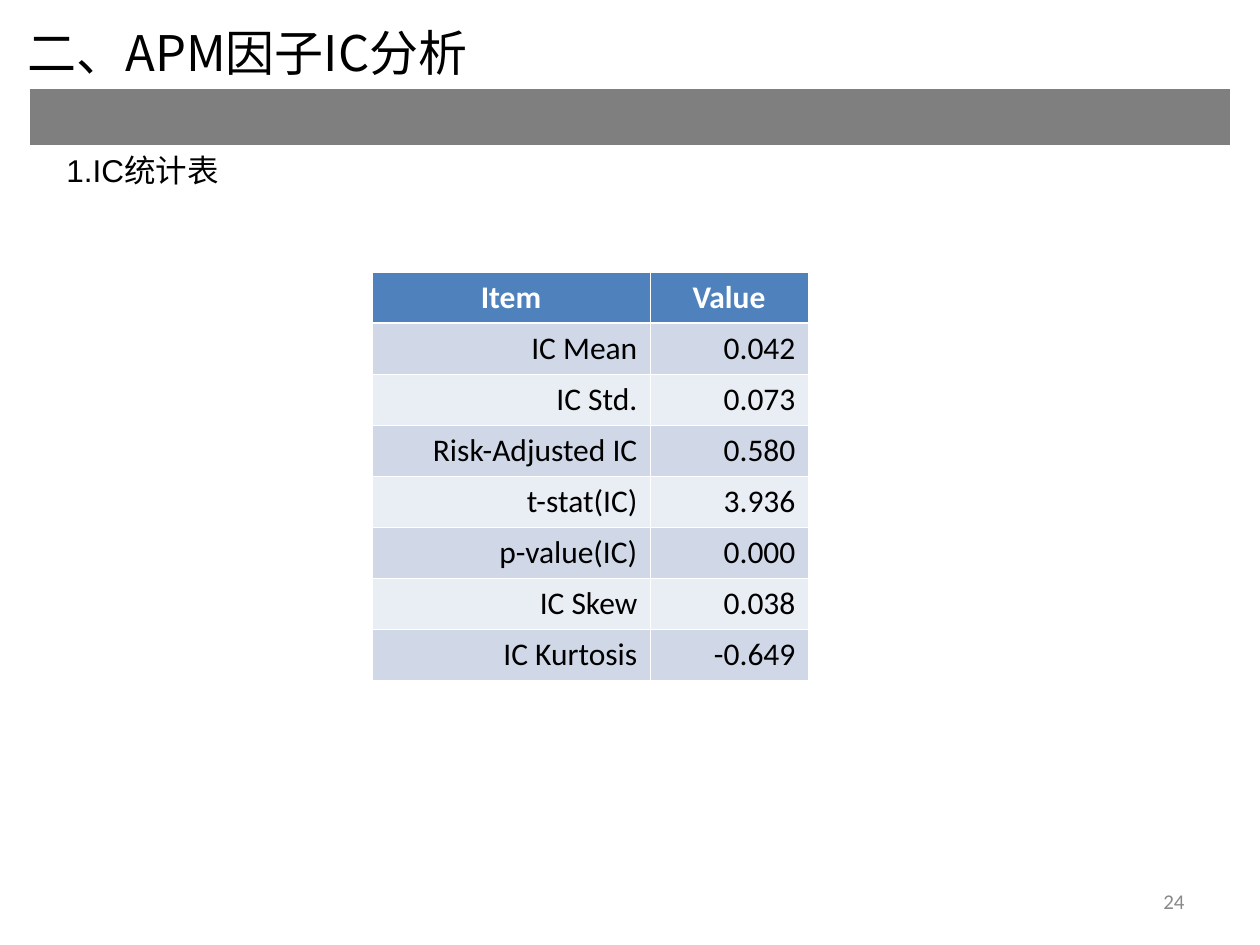
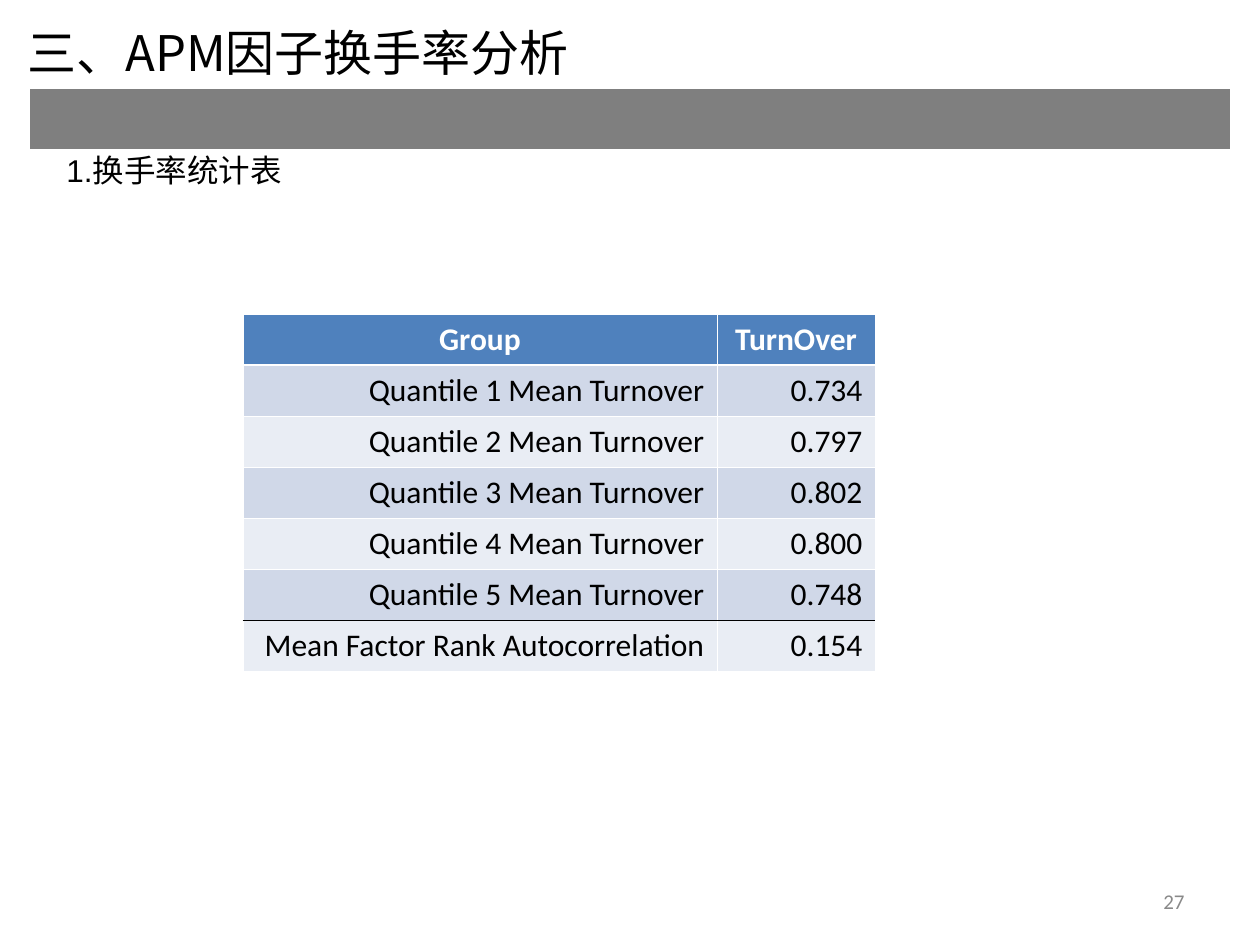
from dataclasses import dataclass
from typing import Optional

from lxml.etree import SubElement
from pptx import Presentation
from pptx.dml.color import RGBColor
from pptx.enum.text import MSO_ANCHOR, MSO_AUTO_SIZE, PP_ALIGN
from pptx.oxml.ns import qn
from pptx.util import Emu, Pt

PX_PER_INCH = 126
EMU_PER_PX = 914400 / PX_PER_INCH


@dataclass(frozen=True)
class Theme:
    black: str = "000000"
    white: str = "FFFFFF"
    band: str = "7F7F7F"
    header: str = "4F81BD"
    stripes: tuple[str, str] = ("D0D8E8", "E9EDF4")
    number: str = "898989"
    title_font: str = "Noto Sans CJK SC"
    heading_font: str = "Arial"
    body_font: str = "Calibri"
    title_size: int = 28
    body_size: int = 18
    number_size: int = 12
    thin: float = 0.45
    thick: float = 1.47


THEME = Theme()


@dataclass(frozen=True)
class Area:
    left: int
    top: int
    width: int
    height: int


@dataclass(frozen=True)
class TextStyle:
    font: str
    size: int
    color: str
    align: PP_ALIGN
    bold: bool = False


@dataclass(frozen=True)
class StatTable:
    left: int
    top: int
    widths: tuple[int, int]
    rows: list[tuple[str, str]]
    rule_above: Optional[int] = None  # row with a black line above it


@dataclass(frozen=True)
class Page:
    title: str
    heading: str
    heading_width: int
    band_height: int
    number: str
    table: StatTable


TITLE = TextStyle(THEME.title_font, THEME.title_size, THEME.black, PP_ALIGN.JUSTIFY)
HEADING = TextStyle(THEME.heading_font, THEME.body_size, THEME.black, PP_ALIGN.LEFT)
NUMBER = TextStyle(THEME.body_font, THEME.number_size, THEME.number, PP_ALIGN.RIGHT)
HEAD_CELL = TextStyle(THEME.body_font, THEME.body_size, THEME.white, PP_ALIGN.CENTER, True)
BODY_CELL = TextStyle(THEME.body_font, THEME.body_size, THEME.black, PP_ALIGN.RIGHT)

TITLE_AREA = Area(15, 16, 694, 72)
NUMBER_AREA = Area(903, 876, 294, 50)
BAND_LEFT, BAND_TOP, BAND_WIDTH = 29, 88, 1201
HEADING_LEFT, HEADING_TOP, HEADING_HEIGHT = 54, 145, 50
ROW_HEIGHT = 51

PAGES = [
    Page("二、APM因子IC分析", "1.IC统计表", 198, 58, "24", StatTable(372, 272, (278, 158), [
        ("Item", "Value"),
        ("IC Mean", "0.042"),
        ("IC Std.", "0.073"),
        ("Risk-Adjusted IC", "0.580"),
        ("t-stat(IC)", "3.936"),
        ("p-value(IC)", "0.000"),
        ("IC Skew", "0.038"),
        ("IC Kurtosis", "-0.649"),
    ])),
    Page("三、APM因子换手率分析", "1.换手率统计表", 307, 62, "27", StatTable(243, 314, (474, 158), [
        ("Group", "TurnOver"),
        ("Quantile 1 Mean Turnover", "0.734"),
        ("Quantile 2 Mean Turnover", "0.797"),
        ("Quantile 3 Mean Turnover", "0.802"),
        ("Quantile 4 Mean Turnover", "0.800"),
        ("Quantile 5 Mean Turnover", "0.748"),
        ("Mean Factor Rank Autocorrelation", "0.154"),
    ], rule_above=6)),
]


def px(length: int) -> Emu:
    return Emu(round(length * EMU_PER_PX))


def write(frame, text: str, style: TextStyle) -> None:
    """Put one styled paragraph into a text frame."""
    frame.text = text
    para = frame.paragraphs[0]
    para.alignment = style.align
    for span in para.runs:
        span.font.name = style.font
        span.font.size = Pt(style.size)
        span.font.bold = style.bold
        span.font.color.rgb = RGBColor.from_string(style.color)
        east_asian = SubElement(span.font._element, qn("a:ea"))
        east_asian.set("typeface", THEME.title_font)


def add_text(slide, area: Area, text: str, style: TextStyle, anchor=MSO_ANCHOR.TOP) -> None:
    box = slide.shapes.add_textbox(px(area.left), px(area.top), px(area.width), px(area.height))
    box.text_frame.word_wrap = True
    box.text_frame.vertical_anchor = anchor
    write(box.text_frame, text, style)


def add_title(slide, text: str) -> None:
    title = slide.shapes.title
    title.left, title.top = px(TITLE_AREA.left), px(TITLE_AREA.top)
    title.width, title.height = px(TITLE_AREA.width), px(TITLE_AREA.height)
    title.text_frame.auto_size = MSO_AUTO_SIZE.NONE
    title.text_frame.vertical_anchor = MSO_ANCHOR.TOP
    write(title.text_frame, text, TITLE)


def add_grid(slide, left: int, top: int, widths: tuple[int, ...], row_height: int, row_count: int):
    """Add a table without built-in banding."""
    frame = slide.shapes.add_table(row_count, len(widths), px(left), px(top),
                                   px(sum(widths)), px(row_height * row_count))
    table = frame.table
    table.first_row = table.horz_banding = False
    for column, width in zip(table.columns, widths):
        column.width = px(width)
    for row in table.rows:
        row.height = px(row_height)
    return table


def paint_cell(cell, fill: str, top=(THEME.white, THEME.thin), bottom=(THEME.white, THEME.thin)) -> None:
    """Set the four borders, then the fill, of a cell."""
    side = (THEME.white, THEME.thin)
    properties = cell._tc.get_or_add_tcPr()
    for tag, (color, width) in zip(("lnL", "lnR", "lnT", "lnB"), (side, side, top, bottom)):
        line = SubElement(properties, qn(f"a:{tag}"), w=str(Pt(width)))
        SubElement(SubElement(line, qn("a:solidFill")), qn("a:srgbClr"), val=color)
    cell.fill.solid()
    cell.fill.fore_color.rgb = RGBColor.from_string(fill)


def add_band(slide, height: int) -> None:
    band = add_grid(slide, BAND_LEFT, BAND_TOP, (BAND_WIDTH,), height, 1)
    paint_cell(band.cell(0, 0), THEME.band, bottom=(THEME.white, THEME.thick))


def add_stat_table(slide, stats: StatTable) -> None:
    table = add_grid(slide, stats.left, stats.top, stats.widths, ROW_HEIGHT, len(stats.rows))
    # Each horizontal line is shared by the rows above and below it
    lines = [(THEME.white, THEME.thin)] * (len(stats.rows) + 1)
    lines[1] = (THEME.white, THEME.thick)
    if stats.rule_above is not None:
        lines[stats.rule_above] = (THEME.black, THEME.thin)
    for row, values in enumerate(stats.rows):
        fill = THEME.stripes[(row - 1) % 2] if row else THEME.header
        for column, value in enumerate(values):
            cell = table.cell(row, column)
            paint_cell(cell, fill, lines[row], lines[row + 1])
            write(cell.text_frame, value, BODY_CELL if row else HEAD_CELL)


def build_page(deck, page: Page) -> None:
    slide = deck.slides.add_slide(deck.slide_layouts[5])  # title only
    add_band(slide, page.band_height)
    add_text(slide, NUMBER_AREA, page.number, NUMBER, MSO_ANCHOR.MIDDLE)
    add_title(slide, page.title)
    heading_area = Area(HEADING_LEFT, HEADING_TOP, page.heading_width, HEADING_HEIGHT)
    add_text(slide, heading_area, page.heading, HEADING)
    add_stat_table(slide, page.table)


def main() -> None:
    deck = Presentation()
    deck.slide_width, deck.slide_height = px(1260), px(945)
    for page in PAGES:
        build_page(deck, page)
    deck.save("out.pptx")


if __name__ == "__main__":
    main()
